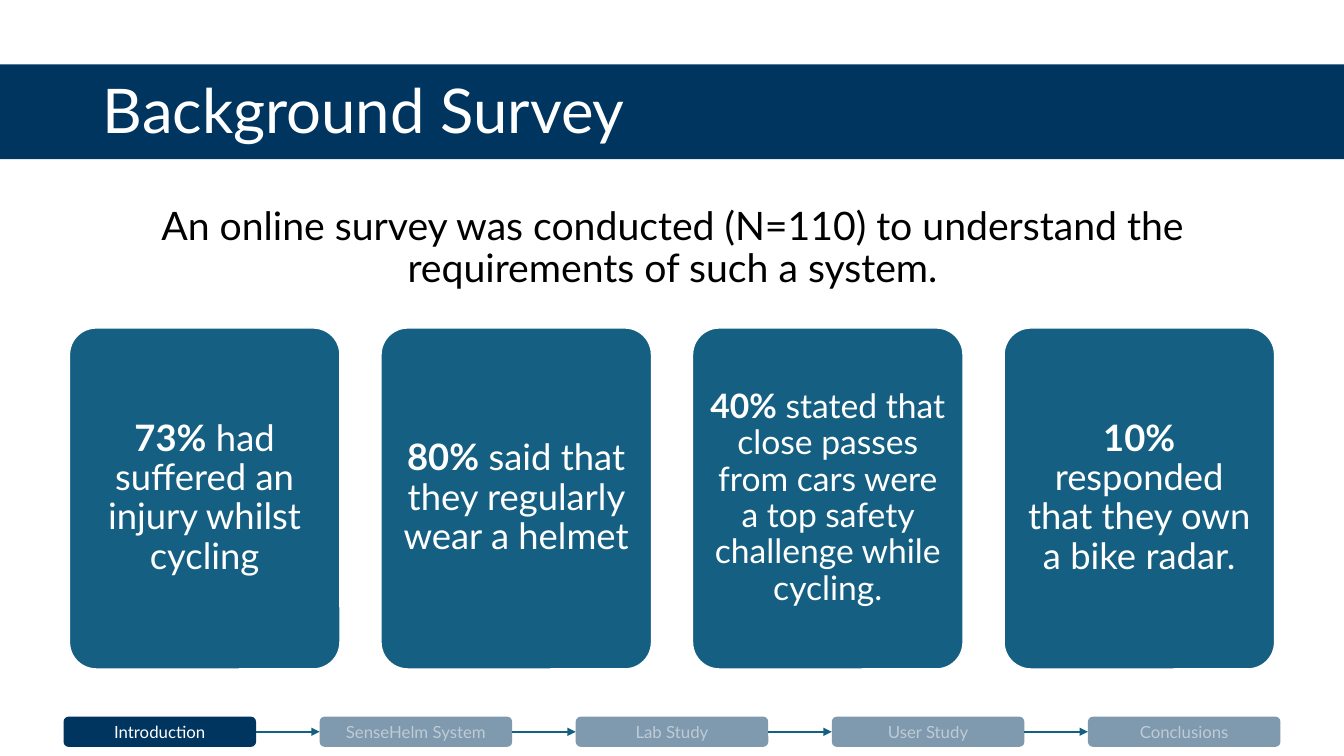
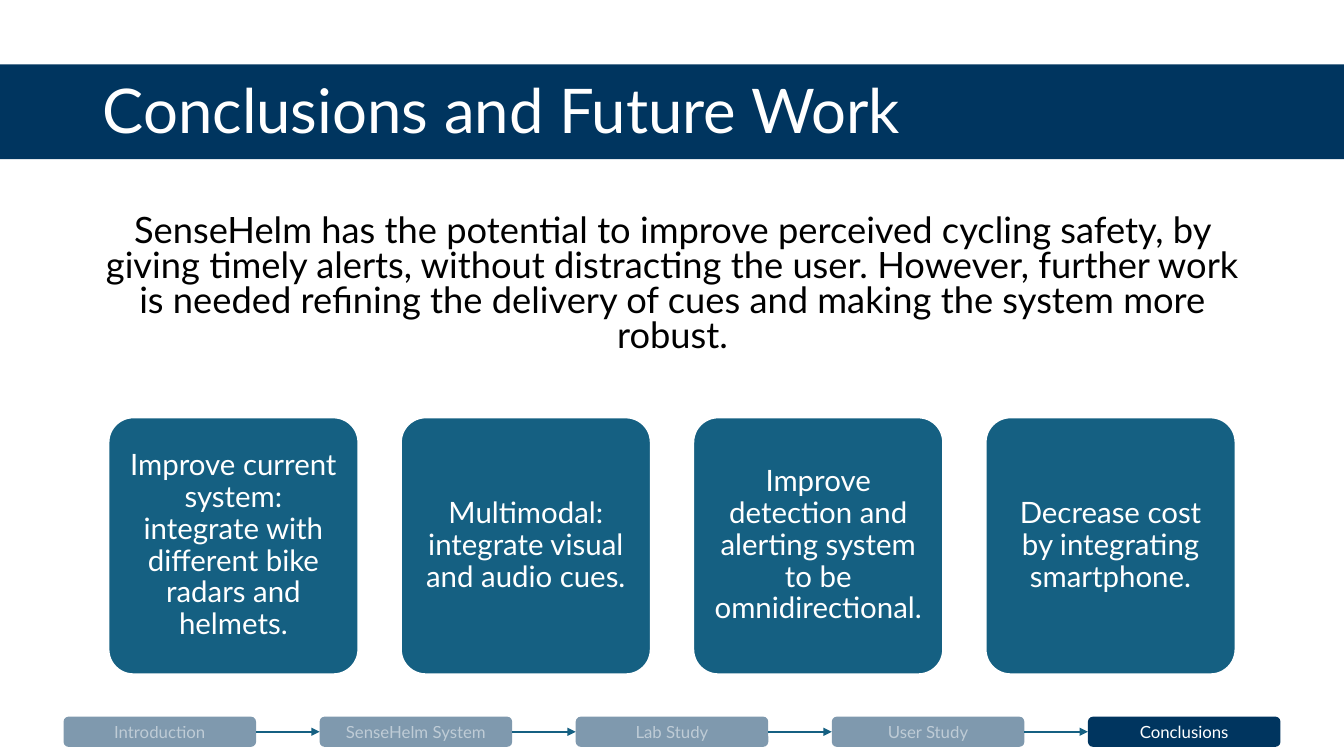
from lxml import etree
from pptx import Presentation
from pptx.dml.color import RGBColor
from pptx.enum import shapes, text
from pptx.oxml.ns import qn
from pptx.util import Inches, Pt

COLOURS = {"navy": "00355F", "teal": "156082", "white": "FFFFFF", "black": "000000"}
FONT = "Lato"
WIDTH, HEIGHT = 13.33, 7.5
STEPS = ["Introduction", "SenseHelm System", "Lab Study", "User Study", "Conclusions"]
SURVEY_RESULTS = [
    ("73%", " had suffered an injury whilst cycling", 26),
    ("80%", " said that they regularly wear a helmet", 26),
    ("40%", " stated that close passes from cars were a top safety challenge while cycling.", 24),
    ("10%", " responded that they own a bike radar.", 26),
]
FUTURE_WORK = [
    "Improve current system: integrate with different bike radars and helmets.",
    "Multimodal: integrate visual and audio cues.",
    "Improve detection and alerting system to be omnidirectional.",
    "Decrease cost by integrating smartphone.",
]


def colour(name):
    return RGBColor.from_string(COLOURS[name])


def write(shape, content, size, ink="white", bold_lead="", align=text.PP_ALIGN.CENTER,
          anchor=text.MSO_ANCHOR.MIDDLE, spacing=0.9, before=0, inset=None):
    """Fill a shape with one paragraph, optionally opened by a bold lead."""
    frame = shape.text_frame
    frame.word_wrap = True
    frame.auto_size = text.MSO_AUTO_SIZE.NONE
    frame.vertical_anchor = anchor
    if inset is not None:
        frame.margin_left = frame.margin_right = Inches(inset)
        frame.margin_top = frame.margin_bottom = Inches(inset)
    paragraph = frame.paragraphs[0]
    paragraph.alignment = align
    paragraph.line_spacing = spacing
    paragraph.space_before = Pt(before)
    for words, bold in ((bold_lead, True), (content, False)):
        if words:
            run = paragraph.add_run()
            run.text = words
            run.font.name, run.font.size, run.font.bold = FONT, Pt(size), bold
            run.font.color.rgb = colour(ink)


def fade(shape, percent=50):
    """Make the fill and the text of a shape translucent."""
    for tint in shape.element.iter(qn("a:srgbClr")):
        etree.SubElement(tint, qn("a:alpha"), val=str(percent * 1000))


class Deck:
    def __init__(self):
        self.prs = Presentation()
        self.prs.slide_width, self.prs.slide_height = Inches(WIDTH), Inches(HEIGHT)
        self.slide = None

    def start_slide(self, heading, current_step):
        self.slide = self.prs.slides.add_slide(self.prs.slide_layouts[5])
        title = self.slide.shapes.title
        title.left, title.top = Inches(0.92), Inches(0.4)
        title.width, title.height = Inches(11.5), Inches(1.45)
        write(title, heading, 44, align=text.PP_ALIGN.LEFT)
        band = self.box(0, 0.64, WIDTH, 0.94, "navy", shapes.MSO_SHAPE.RECTANGLE)
        title.element.addprevious(band.element)
        self.progress(current_step)

    def box(self, left, top, width, height, fill,
            kind=shapes.MSO_SHAPE.ROUNDED_RECTANGLE):
        shape = self.slide.shapes.add_shape(
            kind, Inches(left), Inches(top), Inches(width), Inches(height))
        shape.shadow.inherit = False
        shape.fill.solid()
        shape.fill.fore_color.rgb = colour(fill)
        shape.line.fill.background()
        return shape

    def statement(self, content, top, height, size, spacing):
        area = self.slide.shapes.add_textbox(
            Inches(0.92), Inches(top), Inches(11.5), Inches(height))
        write(area, content, size, ink="black", anchor=text.MSO_ANCHOR.TOP,
              spacing=spacing, before=10)

    def cards(self, entries, top, width, height, gap, inset):
        """Centre a row of cards; an entry is (bold lead, words, text size)."""
        left = (WIDTH - len(entries) * width - (len(entries) - 1) * gap) / 2
        for i, (lead, words, size) in enumerate(entries):
            card = self.box(left + i * (width + gap), top, width, height, "teal")
            card.adjustments[0] = 0.1
            card.line.color.rgb = colour("white")
            card.line.width = Pt(1.5)
            write(card, words, size, bold_lead=lead, inset=inset)

    def progress(self, current_step):
        previous = None
        for i, name in enumerate(STEPS):
            step = self.box(0.63 + i * 2.54, 7.11, 1.91, 0.3, "navy")
            write(step, name, 12, spacing=1, inset=0)
            if name != current_step:
                fade(step)
            if previous is not None:
                self.arrow(previous, step)
            previous = step

    def arrow(self, source, target):
        link = self.slide.shapes.add_connector(shapes.MSO_CONNECTOR.STRAIGHT, 0, 0, 0, 0)
        link.begin_connect(source, 3)
        link.end_connect(target, 1)
        link.line.color.rgb = colour("teal")
        link.line.width = Pt(1.5)
        etree.SubElement(link.line._get_or_add_ln(), qn("a:tailEnd"), type="triangle")
        etree.SubElement(link.element.spPr, qn("a:effectLst"))


def main():
    deck = Deck()

    deck.start_slide("Background Survey", "Introduction")
    deck.statement("An online survey was conducted (N=110) to understand the "
                   "requirements of such a system.", 2, 1.11, 28, 0.9)
    deck.cards(SURVEY_RESULTS, 3.25, 2.69, 3.39, gap=0.4, inset=0.1)

    deck.start_slide("Conclusions and Future Work", "Conclusions")
    deck.statement("SenseHelm has the potential to improve perceived cycling safety, by "
                   "giving timely alerts, without distracting the user. However, further "
                   "work is needed refining the delivery of cues and making the system "
                   "more robust.", 2.09, 1.21, 25.9, 0.8)
    deck.cards([("", words, 21) for words in FUTURE_WORK],
               4.14, 2.48, 2.55, gap=0.42, inset=0.09)

    deck.prs.save("out.pptx")


if __name__ == "__main__":
    main()
